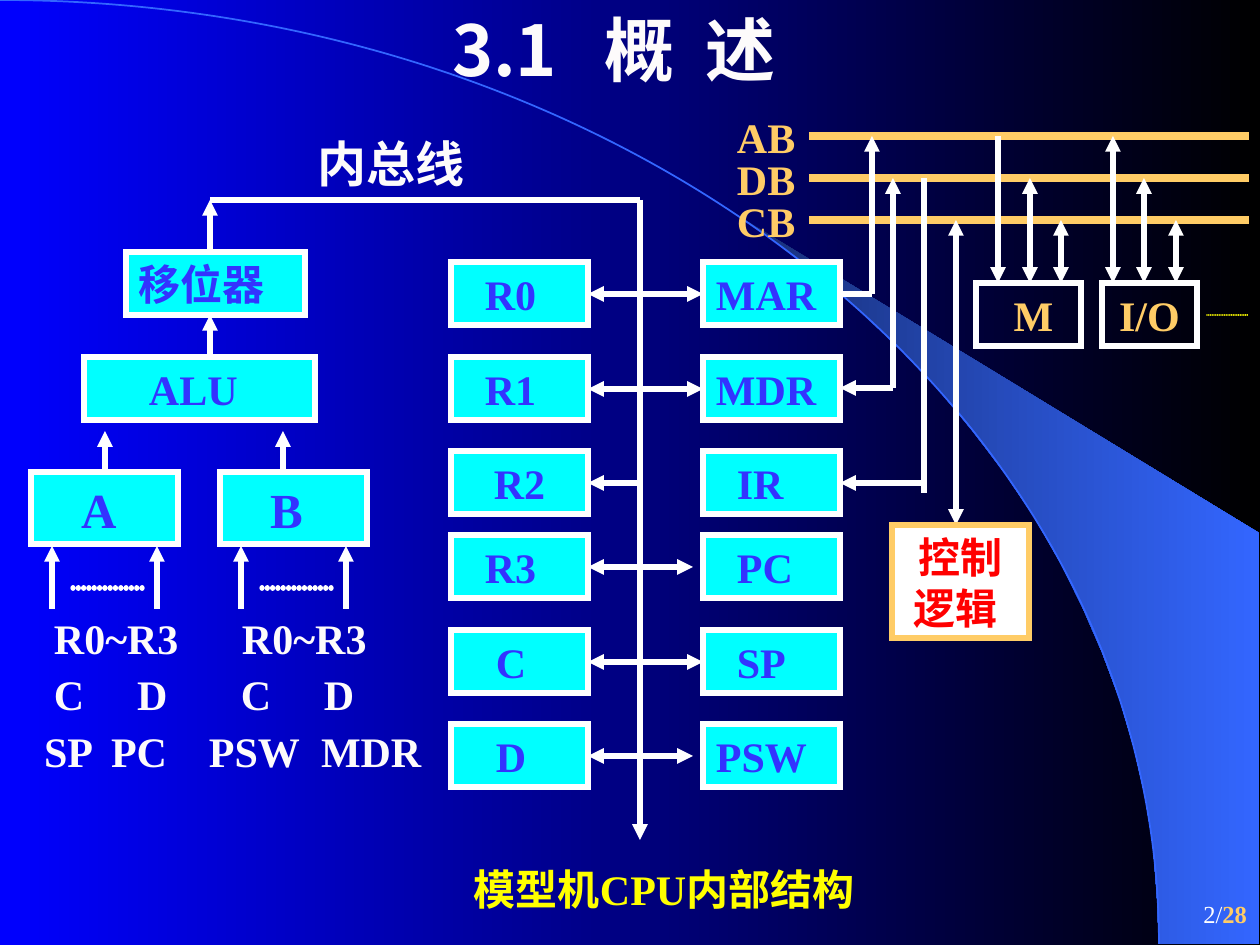
import math

import lxml.etree
import pptx
import pptx.dml.color
import pptx.enum.shapes
import pptx.enum.text
import pptx.oxml.ns
import pptx.util

PX = 914400 // 126
COLORS = {
    "white": "FFFFFF", "soft_white": "FDFBFB", "blue": "3333FF",
    "cyan": "00FFFF", "gold": "FFCC66", "yellow": "FFFF00", "red": "FF0000",
    "arc": "3366FF", "beam": "182F76", "deep_blue": "0000FF", "black": "000000",
}
SERIF = "Times New Roman"
SANS = "Noto Sans CJK SC"
ALIGN = pptx.enum.text.PP_ALIGN
ANCHOR = pptx.enum.text.MSO_ANCHOR
INSET = 13
BUS_X = 640
BUS_TOP = 200
BUSES = {"AB": 136, "DB": 178, "CB": 220}
ROW_TOPS = (262, 357, 451, 535, 630, 724)


def color(name):
    return pptx.dml.color.RGBColor.from_string(COLORS[name])


def add_xml(parent, tag, **attributes):
    return lxml.etree.SubElement(parent, pptx.oxml.ns.qn(tag), attributes)


def set_gradient(fill, first, last):
    fill.gradient()
    fill.gradient_angle = 0
    for stop, name in zip(fill.gradient_stops, (first, last)):
        stop.color.rgb = color(name)


def set_frame(frame, left=INSET, top=7, anchor=ANCHOR.TOP):
    frame.margin_left, frame.margin_right = left * PX, INSET * PX
    frame.margin_top, frame.margin_bottom = top * PX, 6 * PX
    frame.vertical_anchor = anchor
    frame.word_wrap = True


def write(paragraph, text, ink="blue", size=24, font=SERIF, bold=True,
          align=ALIGN.LEFT, tabs=()):
    """Add one run, with optional tab stops in px from the frame's inset."""
    paragraph.alignment = align
    run = paragraph.add_run()
    run.text = text
    run.font.name = font
    run.font.size = pptx.util.Pt(size)
    run.font.bold = bold
    run.font.color.rgb = color(ink)
    add_xml(run.font._element, "a:ea", typeface=SANS)
    if tabs:
        tab_list = add_xml(paragraph._p.get_or_add_pPr(), "a:tabLst")
        for position in tabs:
            add_xml(tab_list, "a:tab", pos=str(position * PX), algn="l")


def add_label(slide, text, left, top, width, height, **text_format):
    shape = slide.shapes.add_textbox(left * PX, top * PX, width * PX, height * PX)
    set_frame(shape.text_frame)
    write(shape.text_frame.paragraphs[0], text, **text_format)
    return shape


def add_box(slide, text, left, top, width, height=63, fill="cyan", border="white",
            indent=0, anchor=ANCHOR.TOP, **text_format):
    shape = slide.shapes.add_shape(
        pptx.enum.shapes.MSO_SHAPE.RECTANGLE,
        left * PX, top * PX, width * PX, height * PX)
    shape.shadow.inherit = False
    if fill:
        shape.fill.solid()
        shape.fill.fore_color.rgb = color(fill)
    else:
        shape.fill.background()
    shape.line.color.rgb = color(border)
    shape.line.width = pptx.util.Pt(3)
    add_xml(shape.line._get_or_add_ln(), "a:miter", lim="800000")
    set_frame(shape.text_frame, left=INSET + indent, anchor=anchor)
    write(shape.text_frame.paragraphs[0], text, **text_format)


def add_line(slide, start, end, ink="white", width=3, head=False, tail=False,
             dotted=False):
    connector = slide.shapes.add_connector(
        pptx.enum.shapes.MSO_CONNECTOR.STRAIGHT,
        *(value * PX for value in (*start, *end)))
    connector.line.color.rgb = color(ink)
    connector.line.width = pptx.util.Pt(width)
    outline = connector.line._get_or_add_ln()
    if dotted:
        outline.set("cap", "rnd")
        add_xml(add_xml(outline, "a:custDash"), "a:ds", d="1000", sp="100000")
    for tag, wanted in (("a:headEnd", head), ("a:tailEnd", tail)):
        if wanted:
            add_xml(outline, tag, type="triangle")
    add_xml(connector._element.spPr, "a:effectLst")


def add_outline(slide, points, closed):
    builder = slide.shapes.build_freeform(*points[0], scale=PX)
    builder.add_line_segments(points[1:], close=closed)
    shape = builder.convert_to_shape()
    shape.shadow.inherit = False
    return shape


def draw_backdrop(slide):
    set_gradient(slide.background.fill, "deep_blue", "black")
    # Beam, whose inner edge follows the quarter ellipse
    angles = [math.radians(degree) for degree in range(42, 91, 3)]
    edge = [(round(1159 * math.sin(a)), round(944 - 944 * math.cos(a))) for a in angles]
    beam = add_outline(slide, [(742, 218), *edge, (1259, 944), (1259, 533)], True)
    set_gradient(beam.fill, "beam", "arc")
    beam.line.fill.background()
    # Arc: one segment, turned into a Bezier curve
    arc = add_outline(slide, [(0, 0), (1159, 944)], False)
    segment = next(arc._element.iter(pptx.oxml.ns.qn("a:lnTo")))
    curve = add_xml(segment.getparent(), "a:cubicBezTo")
    for x, y in ((640, 0), (1159, 422), (1159, 944)):
        add_xml(curve, "a:pt", x=str(x), y=str(y))
    segment.getparent().remove(segment)
    arc.fill.background()
    arc.line.color.rgb = color("arc")
    arc.line.width = pptx.util.Pt(1)


def draw_texts(slide):
    title = slide.shapes.title
    title.left, title.top, title.width, title.height = 0, 0, 1260 * PX, 97 * PX
    set_frame(title.text_frame, left=452)
    title.text_frame.auto_size = pptx.enum.text.MSO_AUTO_SIZE.NONE
    write(title.text_frame.paragraphs[0], "3.1\t概\t述", ink="soft_white", size=40,
          font=SANS, tabs=(152, 253))
    add_label(slide, "内总线", 305, 126, 220, 72, ink="soft_white", size=28)
    add_label(slide, "模型机CPU内部结构", 461, 857, 440, 63, ink="yellow")
    page = add_label(slide, "2/", 998, 882, 262, 63, ink="white", size=14,
                     bold=False, align=ALIGN.RIGHT)
    page.text_frame.vertical_anchor = ANCHOR.MIDDLE
    write(page.text_frame.paragraphs[0], "28", ink="gold", size=14, align=ALIGN.RIGHT)


def draw_alu(slide):
    # Registers that feed the two latches
    sources = slide.shapes.add_textbox(0, 624 * PX, 451 * PX, 156 * PX)
    frame = sources.text_frame
    set_frame(frame, top=6)
    rows = (("\tR0~R3\tR0~R3", (41, 229)),
            ("\tC\tD\tC\tD", (41, 124, 228, 311)),
            ("\tSP\tPC\tPSW\tMDR", (31, 98, 196, 308)))
    for index, (text, tabs) in enumerate(rows):
        paragraph = frame.add_paragraph() if index else frame.paragraphs[0]
        paragraph.line_spacing = 0.6
        paragraph.space_before = pptx.util.Pt(15)
        write(paragraph, text, ink="soft_white", tabs=tabs)
    # Latches, ALU and shifter
    for name, left, output_x in (("A", 31, 105), ("B", 220, 283)):
        for input_x in (left + 21, left + 126):
            add_line(slide, (input_x, 609), (input_x, 546), tail=True)
        add_line(slide, (left + 42, 588), (left + 116, 588), dotted=True)
        add_line(slide, (output_x, 472), (output_x, 431), tail=True)
        add_box(slide, name, left, 472, 147, 72, indent=37, size=28)
    add_line(slide, (210, 357), (210, 315), tail=True)
    add_line(slide, (210, 252), (210, BUS_TOP), tail=True)
    add_box(slide, "ALU", 84, 357, 231, indent=52)
    add_box(slide, "移位器", 126, 252, 179)


def draw_registers(slide):
    # Inner bus
    add_line(slide, (210, BUS_TOP), (BUS_X, BUS_TOP))
    add_line(slide, (BUS_X, BUS_TOP), (BUS_X, 840), tail=True)
    # Name and indent on each side, and where the link ends on the right
    rows = (("R0", 21, "MAR", 0, 703), ("R1", 21, "MDR", 0, 703),
            ("R2", 0, "IR", 21, BUS_X), ("R3", 21, "PC", 21, 693),
            ("C", 32, "SP", 21, 703), ("D", 32, "PSW", 0, 693))
    for top, (left_name, left_indent, right_name, right_indent, link_x) in zip(ROW_TOPS, rows):
        add_line(slide, (link_x, top + 32), (588, top + 32), head=link_x > BUS_X, tail=True)
        centered = {"align": ALIGN.CENTER, "anchor": ANCHOR.MIDDLE} if left_name == "R2" else {}
        add_box(slide, left_name, 451, top, 137, indent=left_indent, **centered)
        add_box(slide, right_name, 703, top, 137, indent=right_indent)


def draw_system_buses(slide):
    for name, y in BUSES.items():
        add_line(slide, (809, y), (1249, y), ink="gold", width=4.5)
        add_label(slide, name, 724, y - 31, 116, 63, ink="gold")
    address, data, control = BUSES.values()
    # Links from MAR, MDR and IR
    add_line(slide, (840, 294), (872, 294))
    add_line(slide, (872, 294), (872, address), tail=True)
    add_line(slide, (893, 388), (840, 388), tail=True)
    add_line(slide, (893, 388), (893, data), tail=True)
    add_line(slide, (924, data), (924, 493))
    add_line(slide, (924, 483), (840, 483), tail=True)
    # Memory and input/output
    for name, left, width, first_x, indent in (("M", 976, 105, 998, 10),
                                               ("I/O", 1102, 95, 1113, 0)):
        for index, y in enumerate(BUSES.values()):
            x = round(first_x + index * 31.5)
            add_line(slide, (x, y), (x, 283), head=name == "I/O" or index > 0, tail=True)
        add_box(slide, name, left, 283, width, fill=None, ink="gold",
                indent=indent, align=ALIGN.CENTER)
    add_line(slide, (1207, 315), (1249, 315), ink="yellow", width=1, dotted=True)
    # Control logic
    add_line(slide, (956, control), (956, 525), head=True, tail=True)
    add_box(slide, "控制逻辑 ", 892, 525, 137, 113, fill="white", border="gold",
            ink="red", align=ALIGN.CENTER)


def main():
    presentation = pptx.Presentation()
    presentation.slide_width = pptx.util.Inches(10)
    presentation.slide_height = pptx.util.Inches(7.5)
    slide = presentation.slides.add_slide(presentation.slide_layouts[5])
    draw_backdrop(slide)
    draw_texts(slide)
    draw_alu(slide)
    draw_registers(slide)
    draw_system_buses(slide)
    presentation.save("out.pptx")


if __name__ == "__main__":
    main()
